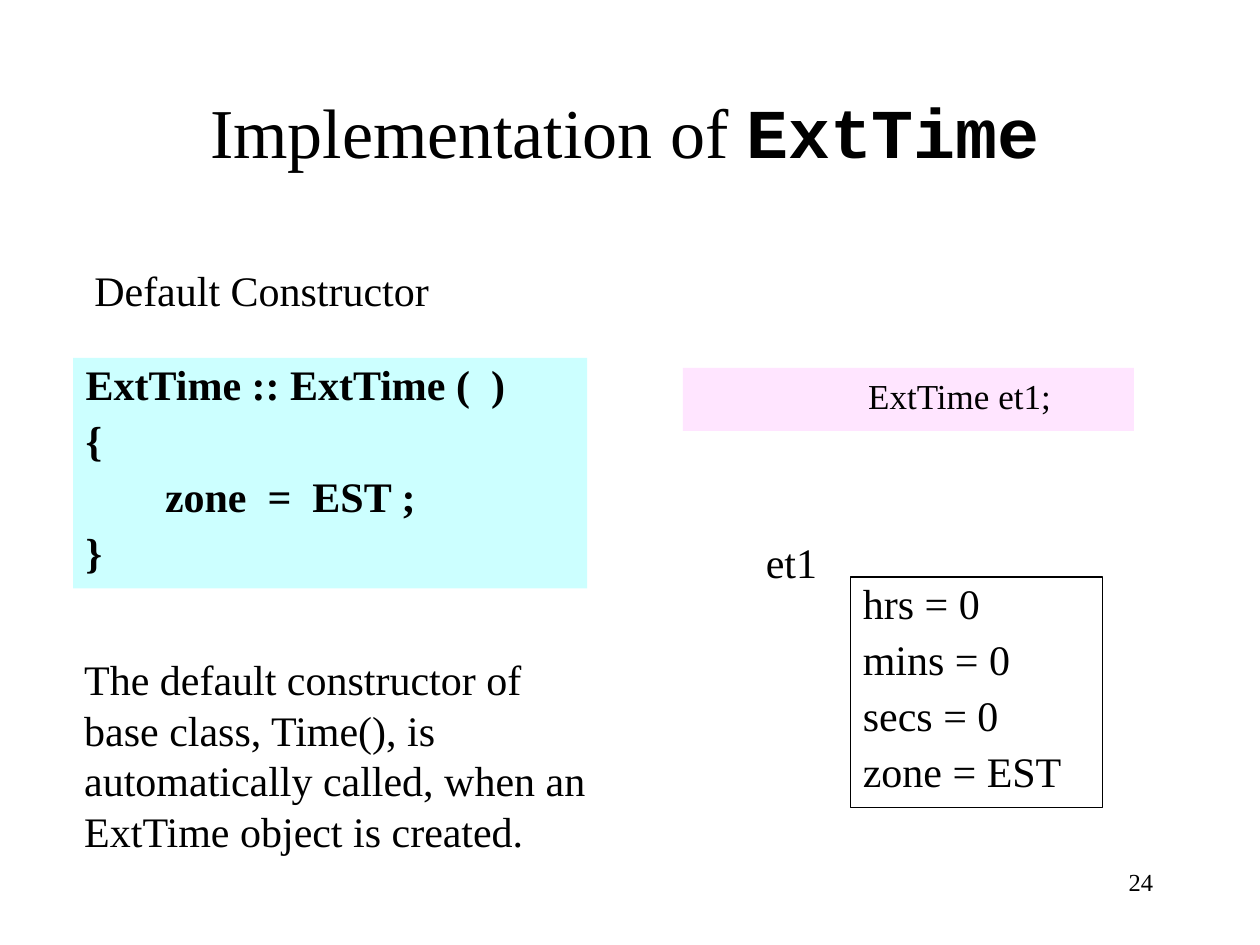
from pptx import Presentation
from pptx.dml.color import RGBColor
from pptx.enum.shapes import MSO_SHAPE as Shape
from pptx.enum.text import MSO_ANCHOR as Anchor, MSO_AUTO_SIZE as AutoSize, PP_ALIGN as Align
from pptx.oxml import parse_xml
from pptx.oxml.ns import nsdecls
from pptx.util import Inches, Pt

BLACK = RGBColor(0x00, 0x00, 0x00)
CYAN = RGBColor(0xCC, 0xFF, 0xFF)
PINK = RGBColor(0xFF, 0xE5, 0xFF)
SERIF = "Times New Roman"
MONO = "Courier New"


def place(box, left, top, width, height):
    box.left, box.top = Inches(left), Inches(top)
    box.width, box.height = Inches(width), Inches(height)


def write(box, lines, size=24, bold=False, align=Align.LEFT, spacing=1.0, before=0):
    frame = box.text_frame
    frame.vertical_anchor = Anchor.TOP
    frame.auto_size = AutoSize.NONE
    frame.text = "\n".join(lines)
    for number, para in enumerate(frame.paragraphs):
        para.alignment = align
        para.line_spacing = spacing
        para.space_before = Pt(before if number else 0)
        para.font.name = SERIF
        para.font.size = Pt(size)
        para.font.bold = bold
        para.font.color.rgb = BLACK


deck = Presentation()
deck.slide_width, deck.slide_height = Inches(10), Inches(7.5)
page = deck.slides.add_slide(deck.slide_layouts[1])

title = page.shapes.title
place(title, 0.67, 0.5, 8.58, 0.92)
write(title, ["Implementation of "], size=40, align=Align.CENTER)
title.text_frame.vertical_anchor = Anchor.BOTTOM
class_name = title.text_frame.paragraphs[0].add_run()
class_name.text = "ExtTime"
class_name.font.name = MONO
class_name.font.bold = True

code = page.placeholders[1]
place(code, 0.58, 2.84, 4.08, 1.83)
code.fill.solid()
code.fill.fore_color.rgb = CYAN
code_lines = ["ExtTime :: ExtTime (  )", "{", "\t   zone  =  EST ;", "}"]
code.text_frame.text = "\n".join(code_lines)
write(code, code_lines, bold=True, spacing=0.9, before=6)
for para in code.text_frame.paragraphs:
    properties = para._p.get_or_add_pPr()
    properties.set("marL", str(Inches(0.38)))
    properties.set("indent", str(-Inches(0.38)))
    bullet = parse_xml(f"<a:buNone {nsdecls('a')}/>")
    properties.find("{*}defRPr").addprevious(bullet)

explanation = ("The default constructor of base class, Time(), is automatically called, "
               "when an ExtTime object is created.")
labels = [
    ("Default Constructor", (0.65, 2.05, 2.85, 0.5), 24, Align.LEFT, False),
    (explanation, (0.57, 5.14, 4.18, 1.7), 24, Align.LEFT, True),
    ("et1", (5.98, 4.21, 0.6, 0.5), 24, Align.LEFT, False),
    ("24", (7.17, 6.83, 2.08, 0.5), 14, Align.RIGHT, True),
]
for text, bounds, size, align, wrap in labels:
    label = page.shapes.add_textbox(*map(Inches, bounds))
    write(label, [text], size=size, align=align)
    label.text_frame.word_wrap = wrap

declaration = page.shapes.add_shape(Shape.RECTANGLE, *map(Inches, (5.42, 2.92, 3.58, 0.5)))
declaration.shadow.inherit = False
declaration.fill.solid()
declaration.fill.fore_color.rgb = PINK
declaration.line.fill.background()
write(declaration, ["ExtTime et1;"], size=20)
declaration.text_frame.margin_left = Inches(1.47)

members = page.shapes.add_shape(Shape.RECTANGLE, *map(Inches, (6.75, 4.58, 2, 1.83)))
members.shadow.inherit = False
members.fill.background()
members.line.color.rgb = BLACK
members.line.width = Pt(0.75)
write(members, ["hrs = 0", "mins = 0", "secs = 0", "zone = EST"], spacing=0.9, before=6)

deck.save("out.pptx")
